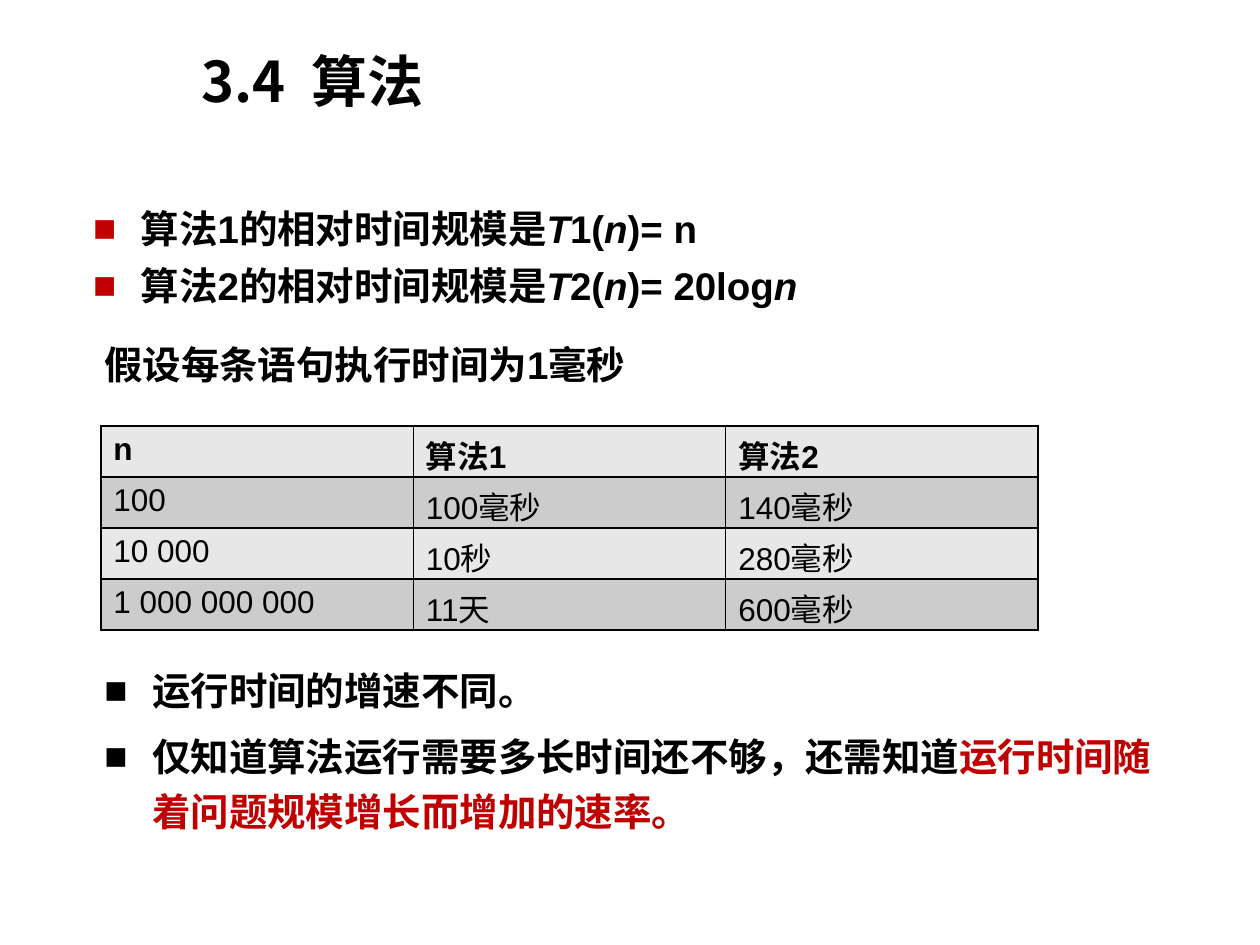
from dataclasses import dataclass

from lxml.etree import SubElement as Sub
from pptx import Presentation
from pptx.dml.color import RGBColor as RGB
from pptx.enum.text import MSO_AUTO_SIZE as AutoSize, PP_ALIGN as Align
from pptx.oxml.ns import qn
from pptx.util import Inches, Pt


@dataclass(frozen=True)
class Theme:
    ink: str = "000000"
    accent: str = "C00000"
    light: str = "E7E7E7"
    dark: str = "CCCCCC"
    latin: str = "Arial"
    cjk: str = "Noto Sans CJK SC"
    title: int = 32
    body: int = 22
    cell: int = 18


T = Theme()


def style(p, size, bold=True, face=T.latin):
    f = p.font
    f.name, f.size, f.bold = face, Pt(size), bold
    f.color.rgb = RGB.from_string(T.ink)
    Sub(p._p.pPr.find(qn("a:defRPr")), qn("a:ea"), typeface=T.cjk)


def add_bullet(p, color):
    pPr = p._p.get_or_add_pPr()
    pPr.set("marL", str(Inches(0.38)))
    pPr.set("indent", str(-Inches(0.38)))
    Sub(Sub(pPr, qn("a:buClr")), qn("a:srgbClr"), val=color)
    Sub(pPr, qn("a:buFont"), typeface=T.latin)
    Sub(pPr, qn("a:buChar"), char="■")


def add_text(s, box, text, size=T.body, face=T.latin, wrap=True, align=Align.LEFT):
    tf = s.shapes.add_textbox(*map(Inches, box)).text_frame
    tf.word_wrap = wrap
    tf.auto_size = AutoSize.SHAPE_TO_FIT_TEXT
    p = tf.paragraphs[0]
    p.text, p.alignment = text, align
    style(p, size, face=face)


def add_bullets(s, box, items, color, spacing=1.0):
    tf = s.shapes.add_textbox(*map(Inches, box)).text_frame
    tf.word_wrap = True
    tf.auto_size = AutoSize.SHAPE_TO_FIT_TEXT
    for i, item in enumerate(items):
        p = tf.add_paragraph() if i else tf.paragraphs[0]
        add_bullet(p, color)
        p.line_spacing = spacing
        p.space_before = Pt(6 if i else 0)
        style(p, T.body)
        for text, mark in item:
            r = p.add_run()
            r.text = text
            if mark == "italic":
                r.font.italic = True
            elif mark == "accent":
                r.font.color.rgb = RGB.from_string(T.accent)


def add_borders(cell):
    tcPr = cell._tc.get_or_add_tcPr()
    for i, side in enumerate(("lnL", "lnR", "lnT", "lnB")):
        ln = tcPr.makeelement(qn(f"a:{side}"), {"w": str(Pt(1))})
        Sub(Sub(ln, qn("a:solidFill")), qn("a:srgbClr"), val=T.ink)
        tcPr.insert(i, ln)


def add_grid(s, box, rows):
    table = s.shapes.add_table(len(rows), len(rows[0]), *map(Inches, box)).table
    for i, row in enumerate(rows):
        for j, text in enumerate(row):
            cell = table.cell(i, j)
            cell.fill.solid()
            cell.fill.fore_color.rgb = RGB.from_string(T.dark if i % 2 else T.light)
            add_borders(cell)
            p = cell.text_frame.paragraphs[0]
            p.text = text
            style(p, T.cell, bold=i == 0)


def main():
    prs = Presentation()
    prs.slide_width, prs.slide_height = Inches(10), Inches(7.5)
    s = prs.slides.add_slide(prs.slide_layouts[6])

    add_bullets(s, (0.64, 1.58, 9.36, 0.93), [
        [("算法1的相对时间规模是", ""), ("T", "italic"), ("1(", ""),
         ("n", "italic"), (")= n", "")],
        [("算法2的相对时间规模是", ""), ("T", "italic"), ("2(", ""),
         ("n", "italic"), (")= 20log", ""), ("n", "italic")],
    ], T.accent)
    add_bullets(s, (0.73, 5.17, 8.52, 1.52), [
        [("运行时间的增速不同。", "")],
        [("仅知道算法运行需要多长时间还不够，还需知道", ""),
         ("运行时间随着问题规模增长而增加的速率。", "accent")],
    ], T.ink, spacing=1.2)
    add_text(s, (1.3, 0.32, 2.46, 0.64), "3.4  算法 ", T.title, T.cjk,
             wrap=False, align=Align.CENTER)
    add_grid(s, (0.8, 3.38, 7.44, 1.62), [
        ("n", "算法1", "算法2"),
        ("100", "100毫秒", "140毫秒"),
        ("10 000", "10秒", "280毫秒"),
        ("1 000 000 000", "11天", "600毫秒"),
    ])
    add_text(s, (0.73, 2.66, 4.6, 0.47), "假设每条语句执行时间为1毫秒")

    prs.save("out.pptx")


if __name__ == "__main__":
    main()
